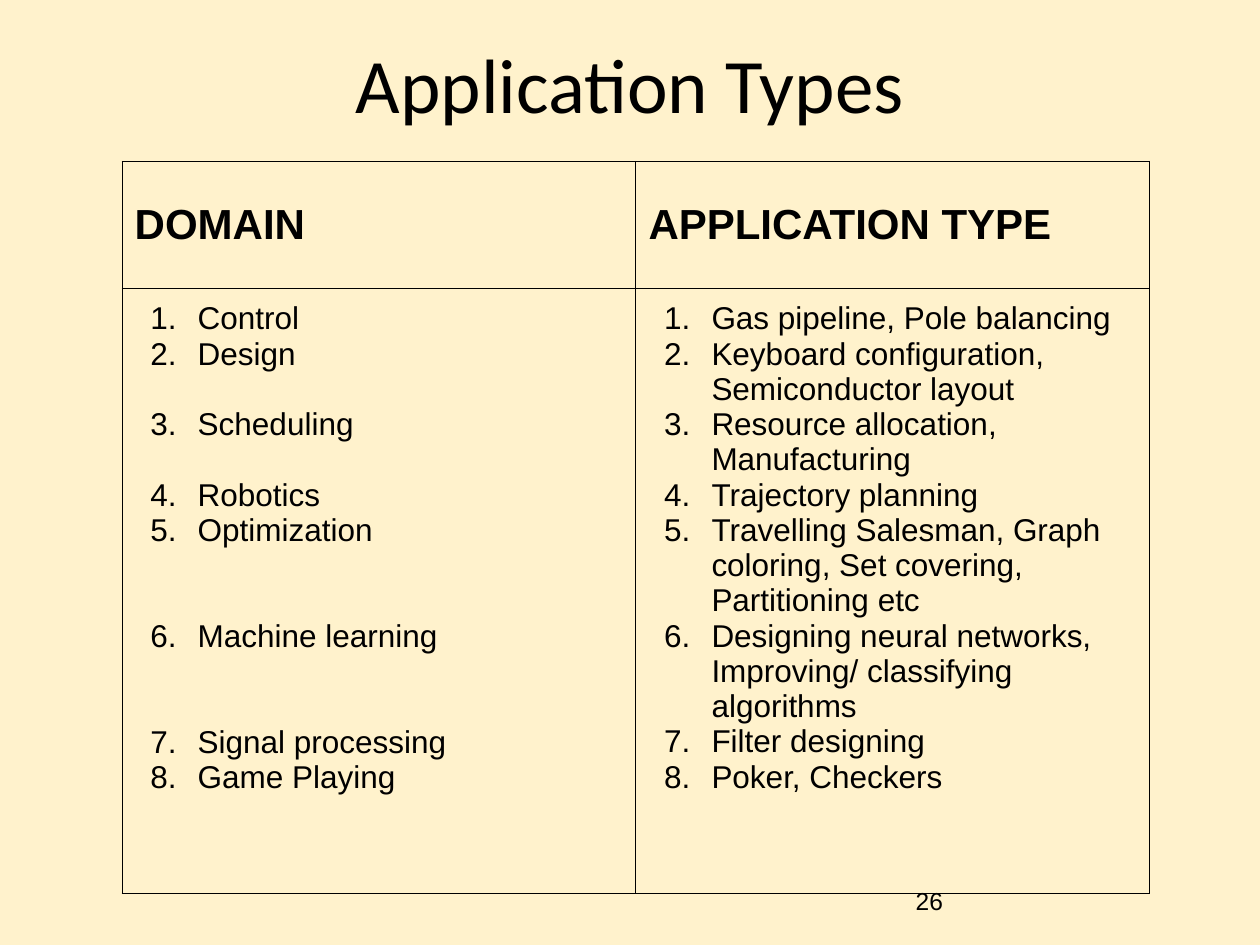
import dataclasses

import pptx
import pptx.dml.color
import pptx.enum.text
import pptx.oxml
import pptx.oxml.ns
import pptx.util

Pt = pptx.util.Pt
Anchor = pptx.enum.text.MSO_ANCHOR
Align = pptx.enum.text.PP_ALIGN

BLACK = "000000"
CREAM = "FFF2CC"
LINE_PITCH = 20.2
COLUMN_WIDTH = 293.6
ROW_HEIGHTS = (72.7, 345.6)


@dataclasses.dataclass(frozen=True)
class Application:
    domain: str
    kind: str
    lines: int = 1  # lines the application type takes in its column


APPLICATIONS = [
    Application("Control", "Gas pipeline, Pole balancing"),
    Application("Design", "Keyboard configuration, Semiconductor layout", 2),
    Application("Scheduling", "Resource allocation, Manufacturing", 2),
    Application("Robotics", "Trajectory planning"),
    Application("Optimization", "Travelling Salesman, Graph coloring, Set covering, Partitioning etc", 3),
    Application("Machine learning", "Designing neural networks, Improving/ classifying algorithms", 3),
    Application("Signal processing", "Filter designing"),
    Application("Game Playing", "Poker, Checkers"),
]


def color(value: str) -> pptx.dml.color.RGBColor:
    return pptx.dml.color.RGBColor.from_string(value)


def set_attributes(target, values: dict) -> None:
    for name, value in values.items():
        setattr(target, name, value)


def write(paragraph, text: str, size: float, font: str = "Arial", bold: bool = False) -> None:
    run = paragraph.add_run()
    run.text = text
    set_attributes(run.font, {"name": font, "size": Pt(size), "bold": bold})
    run.font.color.rgb = color(BLACK)


def place(shape, left: float, top: float, width: float, height: float) -> None:
    set_attributes(shape, {"left": Pt(left), "top": Pt(top), "width": Pt(width), "height": Pt(height)})


def number(paragraph) -> None:
    """Give the paragraph an automatic number and a hanging indent."""
    properties = paragraph._p.get_or_add_pPr()
    properties.set("marL", str(Pt(36)))
    properties.set("indent", str(-Pt(27)))
    namespace = pptx.oxml.ns.nsdecls("a")
    for tag in ('buFont typeface="Arial"', 'buAutoNum type="arabicPeriod"'):
        properties.append(pptx.oxml.parse_xml(f"<a:{tag} {namespace}/>"))


def format_cell(cell) -> None:
    """Set margins and black borders, and leave the cell unfilled."""
    set_attributes(cell, {f"margin_{side}": Pt(7.2) for side in ("left", "right", "top", "bottom")})
    properties = cell._tc.get_or_add_tcPr()
    for side in "LRTB":
        properties.append(pptx.oxml.parse_xml(
            f'<a:ln{side} {pptx.oxml.ns.nsdecls("a")} w="{Pt(0.75)}"><a:solidFill>'
            f'<a:srgbClr val="{BLACK}"/></a:solidFill></a:ln{side}>'))
    cell.fill.background()


def fill_list(cell, items: list[str], gaps: list[float]) -> None:
    frame = cell.text_frame
    for index, (item, gap) in enumerate(zip(items, gaps)):
        paragraph = frame.add_paragraph() if index else frame.paragraphs[0]
        paragraph.space_after = Pt(gap)
        number(paragraph)
        write(paragraph, item, 18)


def add_title(slide) -> None:
    title = slide.shapes.title
    place(title, 36, 12.2, 648, 70.6)
    title.text_frame.vertical_anchor = Anchor.MIDDLE
    paragraph = title.text_frame.paragraphs[0]
    paragraph.alignment = Align.CENTER
    write(paragraph, "Application Types", 44, "Calibri")


def add_application_table(slide) -> None:
    table = slide.shapes.add_table(
        2, 2, Pt(69.8), Pt(92.2), Pt(2 * COLUMN_WIDTH), Pt(sum(ROW_HEIGHTS))).table
    set_attributes(table, {"first_row": False, "horz_banding": False})
    for column in table.columns:
        column.width = Pt(COLUMN_WIDTH)
    for row, height in zip(table.rows, ROW_HEIGHTS):
        row.height = Pt(height)
    for cell in table.iter_cells():
        format_cell(cell)

    for index, heading in enumerate(("DOMAIN", "APPLICATION TYPE")):
        cell = table.cell(0, index)
        cell.vertical_anchor = Anchor.MIDDLE
        write(cell.text_frame.paragraphs[0], heading, 24, bold=True)

    domain_gaps = [(application.lines - 1) * LINE_PITCH for application in APPLICATIONS]
    fill_list(table.cell(1, 0), [application.domain for application in APPLICATIONS], domain_gaps)
    fill_list(table.cell(1, 1), [application.kind for application in APPLICATIONS], [0] * len(APPLICATIONS))


def add_page_number(slide) -> None:
    box = slide.shapes.add_textbox(Pt(516.2), Pt(500.4), Pt(167.8), Pt(28.8))
    set_attributes(box.text_frame, {"word_wrap": True, "vertical_anchor": Anchor.MIDDLE})
    write(box.text_frame.paragraphs[0], "26", 14)


def main() -> None:
    presentation = pptx.Presentation()
    set_attributes(presentation, {"slide_width": Pt(720), "slide_height": Pt(540)})
    slide = presentation.slides.add_slide(presentation.slide_layouts.get_by_name("Title Only"))
    slide.background.fill.solid()
    slide.background.fill.fore_color.rgb = color(CREAM)
    add_title(slide)
    add_application_table(slide)
    add_page_number(slide)
    presentation.save("out.pptx")


if __name__ == "__main__":
    main()
